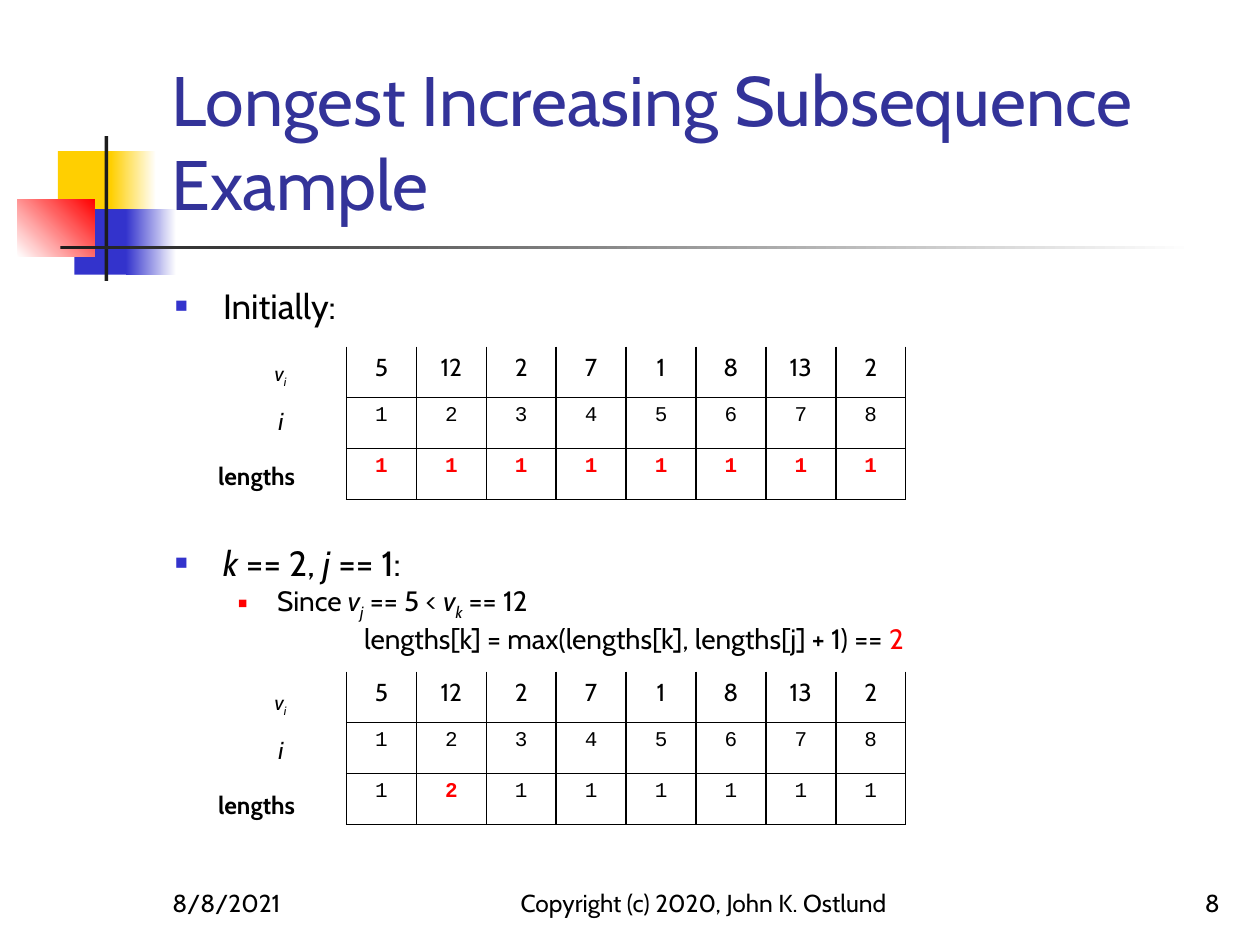
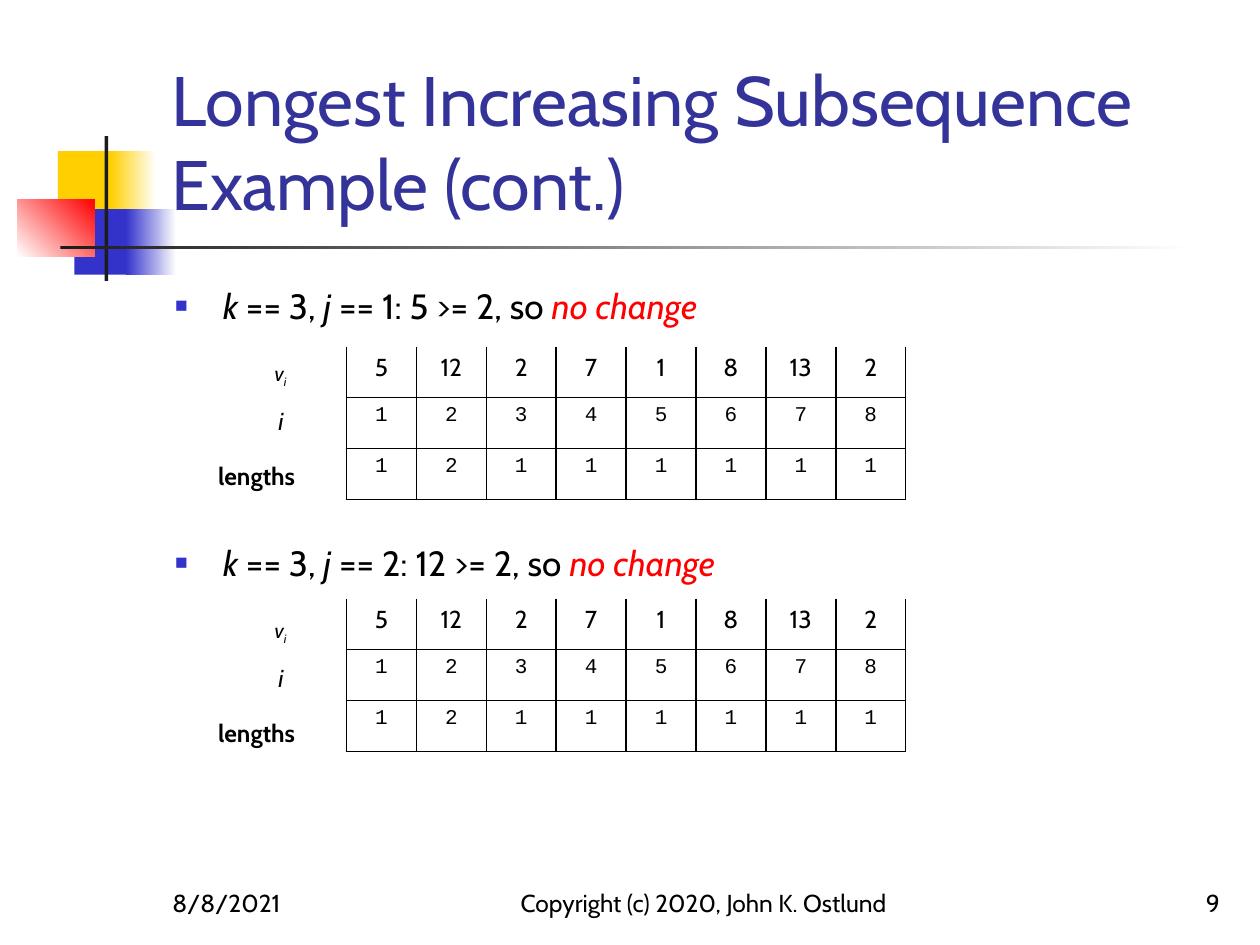
from dataclasses import dataclass
from itertools import chain
from typing import NamedTuple, Optional

from lxml import etree
from pptx import Presentation
from pptx.dml.color import RGBColor
from pptx.enum.shapes import MSO_SHAPE
from pptx.enum.text import MSO_ANCHOR, MSO_AUTO_SIZE, PP_ALIGN
from pptx.oxml.ns import qn
from pptx.util import Emu, Inches, Pt

RECTANGLE = MSO_SHAPE.RECTANGLE
BOTTOM, TOP = MSO_ANCHOR.BOTTOM, MSO_ANCHOR.TOP
NO_FIT = MSO_AUTO_SIZE.NONE
LEFT, CENTER, RIGHT = PP_ALIGN.LEFT, PP_ALIGN.CENTER, PP_ALIGN.RIGHT

SLIDE_WIDTH, SLIDE_HEIGHT = Inches(10), Inches(7.5)
GRID_COLUMNS = 40
UNIT = SLIDE_WIDTH / GRID_COLUMNS


@dataclass(frozen=True)
class Theme:
    font: str = "Cabin"
    code_font: str = "Courier New"
    ink: str = "000000"
    title: str = "333399"
    blue: str = "3333CC"
    red: str = "FF0000"
    yellow: str = "FFCF01"
    bar: str = "1C1C1C"
    paper: str = "FFFFFF"
    title_size: int = 40
    topic_size: int = 20
    detail_size: int = 16
    label_size: int = 14
    small_size: int = 12
    leading: float = 1.215


THEME = Theme()


class Frame(NamedTuple):
    column: float
    row: float
    width: float
    height: float


class Block(NamedTuple):
    frame: Frame
    start: str
    end: Optional[str] = None
    angle: int = 0


class Span(NamedTuple):
    text: str
    italic: bool = False
    bold: bool = False
    color: str = THEME.ink
    lowered: bool = False


class LineStyle(NamedTuple):
    size: int
    left: float
    hanging: float = 0
    bullet_color: Optional[str] = None
    bullet_percent: int = 0
    level: int = 0


class Line(NamedTuple):
    style: LineStyle
    spans: list[Span]
    gap: int = 0


class Trace(NamedTuple):
    row: float
    lengths: list[int]
    changed: tuple[int, ...] = ()


class Page(NamedTuple):
    title: str
    number: int
    topics: list[list[Line]]
    traces: list[Trace]


TOPIC = LineStyle(THEME.topic_size, 1.52, -1.52, THEME.blue, 60)
DETAIL = LineStyle(THEME.detail_size, 3.24, -1.24, THEME.red, 55, 1)
FORMULA = LineStyle(THEME.detail_size, 6, level=1)
VALUE_LABEL = LineStyle(THEME.small_size, 3.16)
INDEX_LABEL = LineStyle(THEME.label_size, 3.28)
LENGTHS_LABEL = LineStyle(THEME.label_size, 1.36)

ROW_LABELS = [
    Line(VALUE_LABEL, [Span("v", True), Span("i", True, lowered=True)], 16),
    Line(INDEX_LABEL, [Span("i", True)], 8),
    Line(LENGTHS_LABEL, [Span("lengths", bold=True)], 12),
]

TITLE_FRAME = Frame(5.04, 0.92, 34.08, 6.4)
BODY_FRAME = Frame(5.16, 8.84, 34, 18)
FOOTER_ROW, FOOTER_HEIGHT = 27.32, 2
DATE, COPYRIGHT = "8/8/2021", "Copyright (c) 2020, John K. Ostlund"

TABLE_COLUMN, TABLE_WIDTH, CELL_HEIGHT = 11, 17.76, 1.62
VALUES = [5, 12, 2, 7, 1, 8, 13, 2]

BLOCKS = [
    Block(Frame(1.84, 4.8, 1.92, 2.08), THEME.yellow),
    Block(Frame(3.52, 4.8, 1.44, 2.08), THEME.yellow, THEME.paper),
    Block(Frame(2.36, 6.64, 1.84, 2.08), THEME.blue),
    Block(Frame(4, 6.64, 1.6, 2.08), THEME.blue, THEME.paper),
    Block(Frame(0.56, 6.32, 2.44, 1.84), THEME.paper, THEME.red, 45),
    Block(Frame(3.32, 4.32, 0.12, 4.6), THEME.bar),
    Block(Frame(1.92, 7.8, 36, 0.12), THEME.bar, THEME.paper),
]


def units(amount: float) -> Emu:
    return Emu(round(amount * UNIT))


def place(shape, frame: Frame) -> None:
    shape.left, shape.top, shape.width, shape.height = map(units, frame)


def add_xml(parent, tag: str, **attributes):
    return etree.SubElement(parent, qn(tag), attributes)


def add_color(parent, tag: str, color: str) -> None:
    add_xml(add_xml(parent, tag), "a:srgbClr", val=color)


def style_font(font, size: int, color: str, name: str = THEME.font) -> None:
    font.name, font.size = name, Pt(size)
    font.color.rgb = RGBColor.from_string(color)


def style_frame(text_frame, anchor) -> None:
    text_frame.word_wrap = True
    text_frame.auto_size = NO_FIT
    text_frame.vertical_anchor = anchor


def add_block(page, layout, block: Block, shape_id: int) -> None:
    shape = page.shapes.add_shape(RECTANGLE, *map(units, block.frame))
    shape.shadow.inherit = False
    shape.line.fill.background()
    if block.end:
        shape.fill.gradient()
        shape.fill.gradient_angle = block.angle
        for stop, color in zip(shape.fill.gradient_stops, (block.start, block.end)):
            stop.color.rgb = RGBColor.from_string(color)
            stop.position = 0 if color == block.start else 1
    else:
        shape.fill.solid()
        shape.fill.fore_color.rgb = RGBColor.from_string(block.start)
    shape.element.nvSpPr.cNvPr.set("id", str(shape_id))
    layout.shapes.element.append(shape.element)


def add_footer(page, text: str, column: float, width: float, alignment) -> None:
    frame = Frame(column, FOOTER_ROW, width, FOOTER_HEIGHT)
    box = page.shapes.add_textbox(*map(units, frame))
    style_frame(box.text_frame, BOTTOM)
    box.text_frame.text = text
    para = box.text_frame.paragraphs[0]
    para.alignment = alignment
    style_font(para.runs[0].font, THEME.label_size, THEME.ink)


def write_title(page, text: str) -> None:
    text_frame = page.shapes.title.text_frame
    style_frame(text_frame, BOTTOM)
    text_frame.text = text
    para = text_frame.paragraphs[0]
    para.alignment = LEFT
    style_font(para.runs[0].font, THEME.title_size, THEME.title)


def write_line(para, line: Line) -> None:
    style = line.style
    properties = para._p.get_or_add_pPr()
    properties.set("marL", str(units(style.left)))
    properties.set("indent", str(units(style.hanging)))
    if style.bullet_color:
        add_color(properties, "a:buClr", style.bullet_color)
        add_xml(properties, "a:buSzPct", val=str(style.bullet_percent * 1000))
        add_xml(properties, "a:buChar", char="■")
    else:
        add_xml(properties, "a:buNone")
    para.level = style.level
    para.space_before = Pt(round(line.gap * THEME.leading, 1))
    for span in line.spans:
        run = para.add_run()
        run.text = span.text
        style_font(run.font, style.size, span.color)
        run.font.italic, run.font.bold = span.italic, span.bold
        if span.lowered:
            run._r.get_or_add_rPr().set("baseline", "-25000")


def write_body(page, topics: list[list[Line]]) -> None:
    text_frame = page.placeholders[1].text_frame
    style_frame(text_frame, TOP)
    for position, line in enumerate(chain.from_iterable(topics)):
        para = text_frame.add_paragraph() if position else text_frame.paragraphs[0]
        write_line(para, line)


def border_cell(cell, sides: str) -> None:
    properties = cell._tc.get_or_add_tcPr()
    for side in "LRTB":
        border = add_xml(properties, f"a:ln{side}", w=str(Pt(1)))
        if side in sides:
            add_color(border, "a:solidFill", THEME.ink)
        else:
            add_xml(border, "a:noFill")
    cell.fill.background()


def outline_run(run) -> None:
    properties = run._r.get_or_add_rPr()
    line = add_xml(properties, "a:ln", w=str(Pt(1)))
    add_color(line, "a:solidFill", THEME.ink)
    properties.insert(0, line)


def add_grid(page, row: float, rows: list[list[int]], sides: str, size: int,
             font: str, changed: tuple[int, ...] = (), outlined: bool = False) -> None:
    frame = Frame(TABLE_COLUMN, row, TABLE_WIDTH, CELL_HEIGHT * len(rows))
    table = page.shapes.add_table(len(rows), len(VALUES), *map(units, frame)).table
    table.first_row = table.horz_banding = False
    for row_number, numbers in enumerate(rows):
        for column, number in enumerate(numbers):
            cell = table.cell(row_number, column)
            border_cell(cell, sides)
            cell.text_frame.text = str(number)
            para = cell.text_frame.paragraphs[0]
            para.alignment = CENTER
            marked = row_number == 1 and column in changed
            run = para.runs[0]
            style_font(run.font, size, THEME.red if marked else THEME.ink, font)
            run.font.bold = marked
            if outlined:
                outline_run(run)


def add_trace(page, trace: Trace) -> None:
    indexes = list(range(1, len(VALUES) + 1))
    add_grid(page, trace.row + CELL_HEIGHT, [indexes, trace.lengths], "LRTB",
             THEME.small_size, THEME.code_font, trace.changed)
    add_grid(page, trace.row, [VALUES], "LR", THEME.label_size, THEME.font, outlined=True)


def comparison(k: int, j: int, rest: str, *more: Span, gap: int = 0) -> Line:
    spans = [Span("k", True), Span(f" == {k}, "), Span("j", True), Span(f" == {j}:{rest}")]
    return Line(TOPIC, [*spans, *more], gap)


NO_CHANGE = Span("no change", True, color=THEME.red)
AFTER_FIRST = [1, 2, 1, 1, 1, 1, 1, 1]
PAGES = [
    Page("Longest Increasing Subsequence Example", 8, [
        [Line(TOPIC, [Span("Initially:")])],
        ROW_LABELS,
        [comparison(2, 1, "", gap=24),
         Line(DETAIL, [Span("Since "), Span("v", True), Span("j", True, lowered=True),
                       Span(" == 5 < "), Span("v", True), Span("k", True, lowered=True),
                       Span(" == 12")]),
         Line(FORMULA, [Span("lengths[k] = max(lengths[k], lengths[j] + 1) == "),
                        Span("2", color=THEME.red)])],
        ROW_LABELS,
    ], [Trace(11, [1] * len(VALUES), tuple(range(len(VALUES)))),
        Trace(21.32, AFTER_FIRST, (1,))]),
    Page("Longest Increasing Subsequence Example (cont.)", 9, [
        [comparison(3, 1, " 5 >= 2, so ", NO_CHANGE)],
        ROW_LABELS,
        [comparison(3, 2, " 12 >= 2, so ", NO_CHANGE, gap=24)],
        ROW_LABELS,
    ], [Trace(11, AFTER_FIRST), Trace(19, AFTER_FIRST)]),
]


def main() -> None:
    deck = Presentation()
    deck.slide_width, deck.slide_height = SLIDE_WIDTH, SLIDE_HEIGHT
    layout = deck.slide_layouts[1]
    for placeholder, frame in zip(layout.placeholders, (TITLE_FRAME, BODY_FRAME)):
        place(placeholder, frame)
    pages = [deck.slides.add_slide(layout) for _ in PAGES]
    for shape_id, block in enumerate(BLOCKS, start=100):
        add_block(pages[0], layout, block, shape_id)
    for page, content in zip(pages, PAGES):
        write_title(page, content.title)
        write_body(page, content.topics)
        add_footer(page, DATE, 5.08, 8.32, LEFT)
        add_footer(page, COPYRIGHT, 16, 12.68, CENTER)
        add_footer(page, str(content.number), 30.8, 8.32, RIGHT)
        for trace in content.traces:
            add_trace(page, trace)
    deck.save("out.pptx")


if __name__ == "__main__":
    main()
